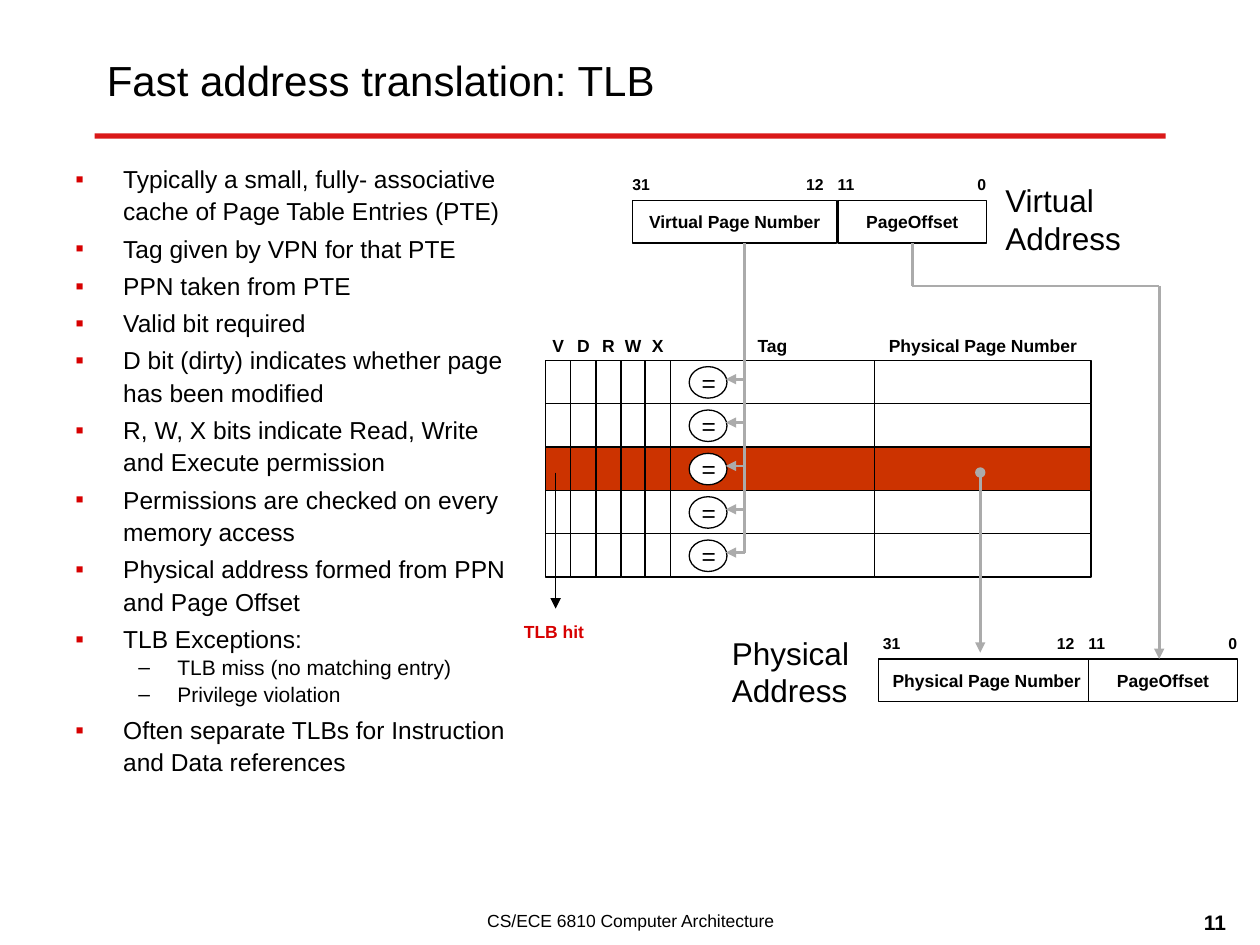
import itertools

import pptx
import pptx.dml.color
import pptx.enum.shapes
import pptx.enum.text
import pptx.oxml
import pptx.oxml.ns
import pptx.util

Inches = pptx.util.Inches
Pt = pptx.util.Pt
SHAPE = pptx.enum.shapes.MSO_SHAPE
ALIGN = pptx.enum.text.PP_ALIGN
ANCHOR = pptx.enum.text.MSO_ANCHOR
FIT = pptx.enum.text.MSO_AUTO_SIZE

HUES = {"ink": "000000", "paper": "FFFFFF", "red": "D70000", "hit": "CC3300", "wire": "ABABAB"}
FONTS = {
    "title": {"size": Pt(24), "bold": False},
    "label": {"size": Pt(18), "bold": False},
    "point": {"size": Pt(14), "bold": False},
    "sub": {"size": Pt(12), "bold": False},
    "page": {"size": Pt(12), "bold": True},
    "foot": {"size": Pt(10), "bold": False},
    "cell": {"size": Pt(10), "bold": True},
    "bit": {"size": Pt(9), "bold": True},
}
LEVELS = [
    {"font": "point", "mark": "▪", "hue": "red", "left": 0.38, "hang": 0.38,
     "gaps": {"level": 0, "line_spacing": 1.1, "space_before": Pt(2.8)}},
    {"font": "sub", "mark": "–", "hue": "ink", "left": 0.81, "hang": 0.31,
     "gaps": {"level": 1, "line_spacing": 0.9, "space_before": Pt(2.4)}},
]
POINTS = [
    (0, "Typically a small, fully- associative cache of Page Table Entries (PTE)"),
    (0, "Tag given by VPN for that PTE"),
    (0, "PPN taken from PTE"),
    (0, "Valid bit required"),
    (0, "D bit (dirty) indicates whether page has been modified"),
    (0, "R, W, X bits indicate Read, Write and Execute permission"),
    (0, "Permissions are checked on every memory access"),
    (0, "Physical address formed from PPN and Page Offset"),
    (0, "TLB Exceptions:"),
    (1, "TLB miss (no matching entry)"),
    (1, "Privilege violation"),
    (0, "Often separate TLBs for Instruction and Data references"),
]
HEADS = ["V", "D", "R", "W", "X", "Tag", "Physical Page Number"]
WIDTHS = [0.2, 0.2, 0.2, 0.19, 0.2, 1.62, 1.72]
BITS = [("31", -1.73), ("12", -0.35), ("11", -0.1), ("0", 1.01)]


def rgb(hue):
    """Return the named colour."""
    return pptx.dml.color.RGBColor.from_string(HUES[hue])


def apply(thing, form):
    """Set each attribute held in a dict of format values."""
    for key, value in form.items():
        setattr(thing, key, value)


def write(para, text, font, hue="ink"):
    """Add one run of styled text to a paragraph."""
    run = para.add_run()
    run.text = text
    apply(run.font, {"name": "Arial", **FONTS[font]})
    run.font.color.rgb = rgb(hue)


def label(slide, box, text, font, hue="ink", align=ALIGN.LEFT, **form):
    """Place a text box with one paragraph for each line of text."""
    frame = slide.shapes.add_textbox(*map(Inches, box)).text_frame
    apply(frame, {"word_wrap": False, "auto_size": FIT.SHAPE_TO_FIT_TEXT, **form})
    for num, line in enumerate(text.split("\n")):
        para = frame.add_paragraph() if num else frame.paragraphs[0]
        para.alignment = align
        write(para, line, font, hue)


def block(slide, box, text="", fill="paper", edge=True, kind=SHAPE.RECTANGLE):
    """Place a filled shape with centred text."""
    shape = slide.shapes.add_shape(kind, *map(Inches, box))
    shape.shadow.inherit = False
    shape.fill.solid()
    shape.fill.fore_color.rgb = rgb(fill)
    if edge:
        shape.line.color.rgb = rgb("ink")
        shape.line.width = Pt(0.75)
    else:
        shape.line.fill.background()
    if text:
        apply(shape.text_frame, {"word_wrap": False, "vertical_anchor": ANCHOR.MIDDLE})
        para = shape.text_frame.paragraphs[0]
        para.alignment = ALIGN.CENTER
        write(para, text, "cell")
    return shape


def wire(slide, start, end, hue="wire", width=1.5, head=None, tail=None):
    """Draw a straight line, with ends if named."""
    line = slide.shapes.add_connector(
        pptx.enum.shapes.MSO_CONNECTOR.STRAIGHT, *map(Inches, start + end))
    line.line.color.rgb = rgb(hue)
    line.line.width = Pt(width)
    for tag, kind in (("a:headEnd", head), ("a:tailEnd", tail)):
        if kind:
            node = pptx.oxml.ns.qn(tag)
            line.line._get_or_add_ln().makeelement(node)
            line.line._get_or_add_ln().append(
                line.line._get_or_add_ln().makeelement(node, {"type": kind}))
    props = line._element.spPr
    props.append(props.makeelement(pptx.oxml.ns.qn("a:effectLst")))
    return line


def frame(slide):
    """Place the title, rule, footer and page number."""
    rule = wire(slide, (0.75, 1.08), (9.25, 1.08), "red", 3)
    for tint in rule._element.iter(pptx.oxml.ns.qn("a:srgbClr")):
        tint.append(tint.makeelement(pptx.oxml.ns.qn("a:alpha"), {"val": "89000"}))
    fixed = {"word_wrap": True, "auto_size": FIT.NONE}
    label(slide, (3.17, 7.17, 3.67, 0.33), "CS/ECE 6810 Computer Architecture", "foot",
          align=ALIGN.CENTER, **fixed)
    label(slide, (7.75, 7.17, 2.08, 0.33), "11", "page", align=ALIGN.RIGHT, **fixed)
    label(slide, (0.75, 0.17, 8.33, 0.92), "Fast address translation: TLB", "title",
          vertical_anchor=ANCHOR.MIDDLE, **fixed)


def points(slide, box):
    """Place the bulleted list in its box."""
    body = slide.shapes.add_textbox(*map(Inches, box)).text_frame
    body.word_wrap = True
    for num, (level, text) in enumerate(POINTS):
        look = LEVELS[level]
        para = body.add_paragraph() if num else body.paragraphs[0]
        apply(para, look["gaps"])
        write(para, text, look["font"])
        props = para._p.get_or_add_pPr()
        props.set("marL", str(Inches(look["left"])))
        props.set("indent", str(-Inches(look["hang"])))
        space = pptx.oxml.ns.nsdecls("a")
        for xml in (f'<a:buClr {space}><a:srgbClr val="{HUES[look["hue"]]}"/></a:buClr>',
                    f'<a:buFont {space} typeface="Arial"/>',
                    f'<a:buChar {space} char="{look["mark"]}"/>'):
            props.append(pptx.oxml.parse_xml(xml))


def address(slide, left, top, wide, split, name):
    """Place a page number and offset pair with bit marks; return the offset."""
    block(slide, (left, top, wide, 0.34), name)
    part = block(slide, (split, top, 1.18, 0.34), "PageOffset")
    for text, shift in BITS:
        label(slide, (split + shift, top - 0.25, 0.34 if len(text) > 1 else 0.27, 0.25),
              text, "bit")
    return part


def buffer(slide, left, top, tall, rows=5, hit=2):
    """Place the TLB grid, its headings and its tag comparators."""
    lefts = list(itertools.accumulate(WIDTHS[:-1], initial=left))
    for x, wide, head in zip(lefts, WIDTHS, HEADS):
        block(slide, (x, top - 0.29, wide, 0.34), head, edge=False)
    step = tall / rows
    tag = lefts[HEADS.index("Tag")]
    for row in range(rows):
        y = top + row * step
        for x, wide in zip(lefts, WIDTHS):
            block(slide, (x, y, wide, step), fill="hit" if row == hit else "paper")
        block(slide, (tag + 0.15, y + 0.05, 0.3, 0.25), kind=SHAPE.OVAL)
        label(slide, (tag + 0.15, y + 0.01, 0.31, 0.33), "=", "point")
        wire(slide, (tag + 0.59, y + 0.15), (tag + 0.44, y + 0.15), tail="triangle")


def main():
    """Build the slide and save it."""
    deck = pptx.Presentation()
    apply(deck, {"slide_width": Inches(10), "slide_height": Inches(7.5)})
    slide = deck.slides.add_slide(deck.slide_layouts[6])
    frame(slide)
    points(slide, (0.5, 1.23, 3.76, 5.72))
    part = address(slide, 5.02, 1.59, 1.62, 6.65, "Virtual Page Number")
    label(slide, (7.88, 1.39, 1.12, 0.7), "Virtual\nAddress", "label")
    buffer(slide, 4.33, 2.86, 1.72)
    wire(slide, (5.91, 4.39), (5.91, 1.93))
    wire(slide, (4.41, 3.75), (4.41, 4.83), "ink", 0.75, tail="triangle")
    label(slide, (4.06, 4.88, 0.68, 0.27), "TLB hit", "cell", "red")
    address(slide, 6.97, 5.23, 1.72, 8.64, "Physical Page Number")
    label(slide, (5.71, 4.98, 1.13, 0.7), "Physical\nAddress", "label")
    wire(slide, (7.78, 5.18), (7.78, 3.75), head="triangle", tail="oval")
    wire(slide, (7.24, 1.93), (7.24, 2.27)).begin_connect(part, 2)
    wire(slide, (7.24, 2.27), (9.2, 2.27))
    wire(slide, (9.2, 2.27), (9.2, 5.23), tail="triangle")
    deck.save("out.pptx")


if __name__ == "__main__":
    main()
